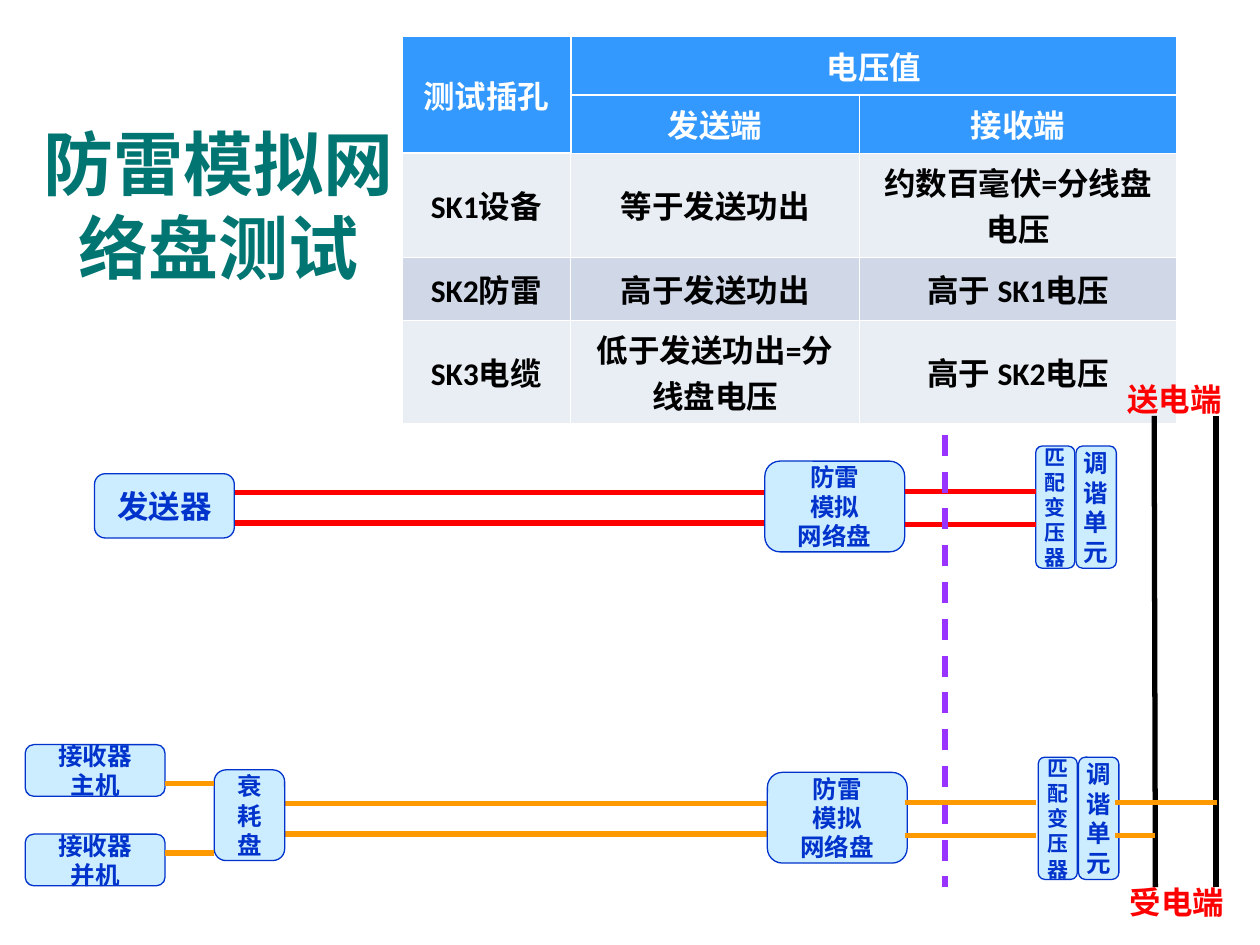
"""Build the slide on testing the lightning-protection simulation network panel."""
from dataclasses import dataclass
from typing import NamedTuple

from lxml.etree import SubElement
from pptx import Presentation
from pptx.dml.color import RGBColor as Rgb
from pptx.enum.dml import MSO_LINE_DASH_STYLE as Dash
from pptx.enum.shapes import MSO_CONNECTOR_TYPE as Connector
from pptx.enum.shapes import MSO_AUTO_SHAPE_TYPE as ShapeType
from pptx.enum.text import MSO_ANCHOR as Anchor
from pptx.enum.text import MSO_AUTO_SIZE as AutoSize
from pptx.enum.text import PP_ALIGN as Align
from pptx.oxml.ns import qn
from pptx.util import Inches, Pt


@dataclass(frozen=True)
class Theme:
    title: str = "007572"
    header: str = "3399FF"
    odd_row: str = "E9EDF4"
    even_row: str = "D0D8E8"
    white: str = "FFFFFF"
    black: str = "000000"
    box_fill: str = "CCECFF"
    box_ink: str = "0033CC"
    sending: str = "FF0000"
    receiving: str = "FF9900"
    boundary: str = "9933FF"
    font: str = "Arial"
    table_font: str = "Calibri"
    title_size: int = 40
    large: int = 18
    medium: int = 14
    small: int = 12
    thin_border: float = 0.45
    thick_border: float = 1.47
    wire_width: float = 3
    box_line: float = 0.75


THEME = Theme()


class Box(NamedTuple):
    left: float
    top: float
    width: float
    height: float
    lines: list[str]
    size: int = THEME.medium


class Wire(NamedTuple):
    x1: float
    y1: float
    x2: float
    y2: float
    color: str
    dashed: bool = False


class Label(NamedTuple):
    left: float
    top: float
    text: str


COLUMNS = [1.34, 2.29, 2.52]
ROWS = [0.4, 0.4, 0.7, 0.5, 0.7]
VALUES = [
    ["测试插孔", "电压值", ""],
    ["", "发送端", "接收端"],
    ["SK1设备", "等于发送功出", "约数百毫伏=分线盘电压"],
    ["SK2防雷", "高于发送功出", "高于 SK1电压"],
    ["SK3电缆", "低于发送功出=分线盘电压", "高于 SK2电压"],
]
THICK_EDGES = {
    (0, 0): "RB", (0, 1): "LB", (0, 2): "B", (1, 0): "RB",
    (1, 1): "LT", (1, 2): "T", (2, 0): "T",
}


def panel_boxes(left: float, top: float) -> list[Box]:
    """Return the network panel, transformer and tuning unit of one end."""
    return [
        Box(left, top, 1.11, 0.72, ["防雷", "模拟", "网络盘"]),
        Box(left + 2.15, top - 0.12, 0.31, 0.97, list("匹配变压器"), THEME.small),
        Box(left + 2.47, top - 0.12, 0.32, 0.97, list("调谐单元")),
    ]


def wire_pair(x1: float, x2: float, heights: tuple[float, float], color: str) -> list[Wire]:
    """Return two horizontal wires between the same ends."""
    return [Wire(x1, y, x2, y, color) for y in heights]


BOXES = [
    Box(0.75, 3.76, 1.11, 0.51, ["发送器"], THEME.large),
    *panel_boxes(6.07, 3.66),
    *panel_boxes(6.09, 6.13),
    Box(1.7, 6.11, 0.56, 0.72, list("衰耗盘")),
    Box(0.2, 5.91, 1.11, 0.41, ["接收器", "主机"]),
    Box(0.2, 6.62, 1.11, 0.41, ["接收器", "并机"]),
]
BACK_WIRES = [
    *wire_pair(1.86, 6.07, (3.91, 4.15), THEME.sending),
    *wire_pair(1.9, 6.11, (6.38, 6.62), THEME.receiving),
]
FRONT_WIRES = [
    Wire(9.16, 3.3, 9.17, 7.04, THEME.black),
    Wire(9.65, 3.3, 9.65, 7.04, THEME.black),
    *wire_pair(7.18, 8.22, (3.9, 4.16), THEME.sending),
    Wire(7.5, 3.45, 7.5, 7.04, THEME.boundary, dashed=True),
    Wire(8.85, 6.37, 9.66, 6.37, THEME.receiving),
    Wire(8.85, 6.63, 9.17, 6.63, THEME.receiving),
    *wire_pair(7.18, 8.22, (6.37, 6.63), THEME.receiving),
    *wire_pair(1.31, 1.7, (6.22, 6.77), THEME.receiving),
]
LABELS = [Label(8.85, 2.97, "送电端"), Label(8.87, 6.96, "受电端")]


def write(frame, lines: list[str], size: int, color: str,
          align=Align.CENTER, font: str = THEME.font) -> None:
    """Fill a text frame with bold paragraphs, one for each line."""
    frame.text = "\n".join(lines)
    for paragraph in frame.paragraphs:
        paragraph.alignment = align
        paragraph.font.name = font
        paragraph.font.size = Pt(size)
        paragraph.font.bold = True
        paragraph.font.color.rgb = Rgb.from_string(color)


def add_title(slide) -> None:
    """Place the slide title."""
    title = slide.shapes.title
    title.left, title.top = Inches(0.12), Inches(0.91)
    title.width, title.height = Inches(3.23), Inches(1.42)
    write(title.text_frame, ["防雷模拟网络盘测试"], THEME.title_size, THEME.title)
    title.text_frame.auto_size = AutoSize.NONE
    title.text_frame.vertical_anchor = Anchor.MIDDLE


def set_borders(cell, thick: str) -> None:
    """Draw white cell borders, heavier on the named edges."""
    properties = cell._tc.get_or_add_tcPr()
    for edge in "LRTB":
        width = THEME.thick_border if edge in thick else THEME.thin_border
        line = SubElement(properties, qn(f"a:ln{edge}"), w=str(int(Pt(width))))
        fill = SubElement(line, qn("a:solidFill"))
        SubElement(fill, qn("a:srgbClr"), val=THEME.white)


def add_voltage_table(slide) -> None:
    """Add the table of test sockets and voltages."""
    table = slide.shapes.add_table(
        len(ROWS), len(COLUMNS), Inches(3.19), Inches(0.29),
        Inches(sum(COLUMNS)), Inches(sum(ROWS))).table
    for column, width in zip(table.columns, COLUMNS):
        column.width = Inches(width)
    for row, height in zip(table.rows, ROWS):
        row.height = Inches(height)
    table.cell(0, 0).merge(table.cell(1, 0))
    table.cell(0, 1).merge(table.cell(0, 2))
    fills = [THEME.header] * 2 + [THEME.odd_row, THEME.even_row, THEME.odd_row]
    for i, (texts, fill) in enumerate(zip(VALUES, fills)):
        ink = THEME.white if i < 2 else THEME.black
        for j, text in enumerate(texts):
            cell = table.cell(i, j)
            set_borders(cell, THICK_EDGES.get((i, j), ""))
            cell.fill.solid()
            cell.fill.fore_color.rgb = Rgb.from_string(fill)
            cell.vertical_anchor = Anchor.MIDDLE
            if text:
                write(cell.text_frame, [text], THEME.large, ink, font=THEME.table_font)
                cell.text_frame.paragraphs[0].space_before = Pt(4.5)


def add_box(slide, box: Box) -> None:
    """Add a rounded equipment box."""
    shape = slide.shapes.add_shape(
        ShapeType.ROUNDED_RECTANGLE, *map(Inches, box[:4]))
    shape.shadow.inherit = False
    shape.fill.solid()
    shape.fill.fore_color.rgb = Rgb.from_string(THEME.box_fill)
    shape.line.color.rgb = Rgb.from_string(THEME.box_ink)
    shape.line.width = Pt(THEME.box_line)
    write(shape.text_frame, box.lines, box.size, THEME.box_ink)
    shape.text_frame.word_wrap = False
    shape.text_frame.vertical_anchor = Anchor.MIDDLE


def add_wire(slide, wire: Wire) -> None:
    """Add a straight wire."""
    connector = slide.shapes.add_connector(Connector.STRAIGHT, *map(Inches, wire[:4]))
    connector.line.color.rgb = Rgb.from_string(wire.color)
    connector.line.width = Pt(THEME.wire_width)
    if wire.dashed:
        connector.line.dash_style = Dash.DASH
    SubElement(connector._element.spPr, qn("a:effectLst"))


def add_label(slide, label: Label) -> None:
    """Add a red label for one end of the track."""
    shape = slide.shapes.add_textbox(
        Inches(label.left), Inches(label.top), Inches(1.03), Inches(0.4))
    write(shape.text_frame, [label.text], THEME.large, THEME.sending, Align.LEFT)
    shape.text_frame.word_wrap = True
    shape.text_frame.vertical_anchor = Anchor.MIDDLE


def main() -> None:
    """Build and save the presentation."""
    presentation = Presentation()
    presentation.slide_width, presentation.slide_height = Inches(10), Inches(7.5)
    slide = presentation.slides.add_slide(presentation.slide_layouts[5])
    add_title(slide)
    add_voltage_table(slide)
    for draw, items in ((add_wire, BACK_WIRES), (add_box, BOXES),
                        (add_wire, FRONT_WIRES), (add_label, LABELS)):
        for item in items:
            draw(slide, item)
    presentation.save("out.pptx")


if __name__ == "__main__":
    main()
